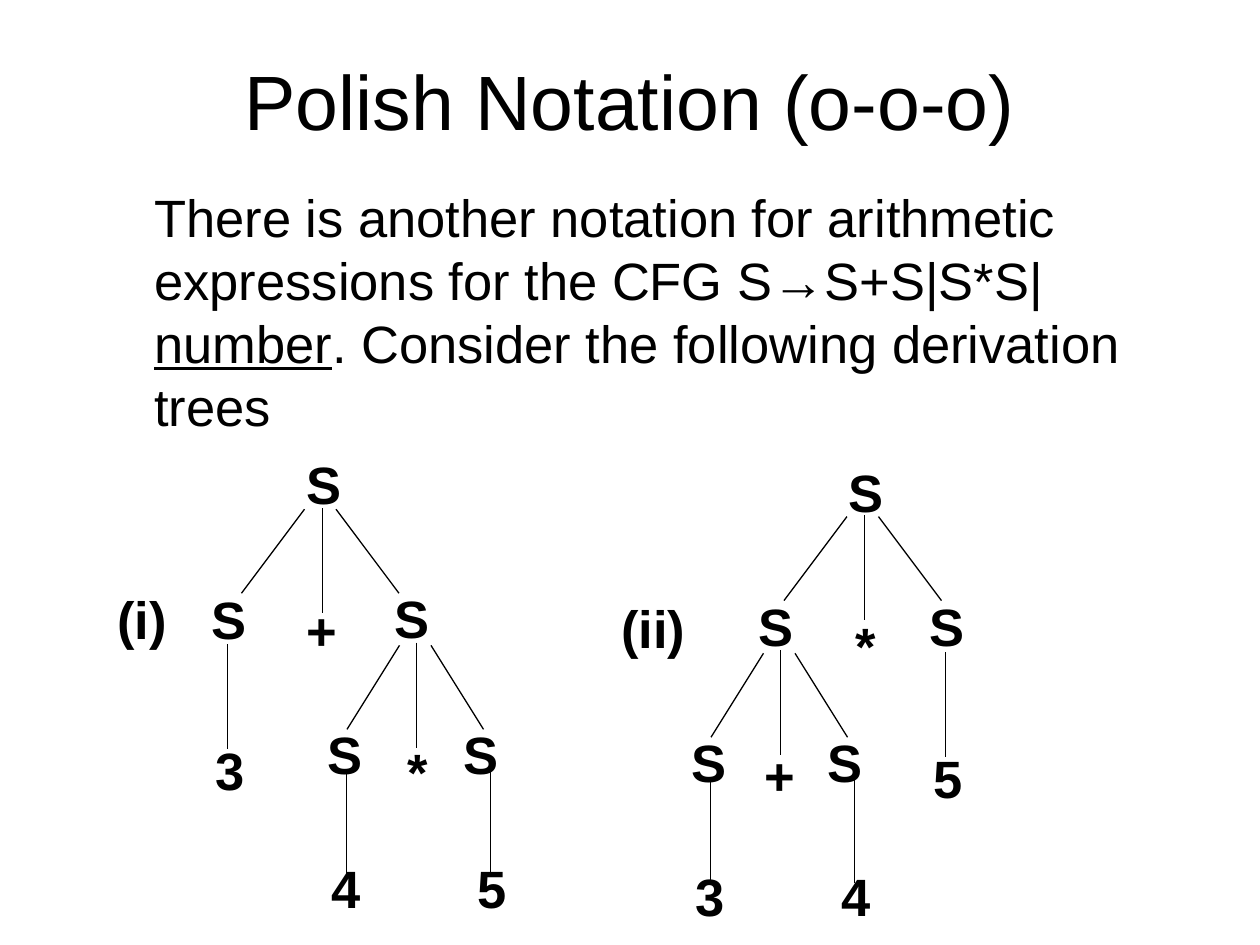
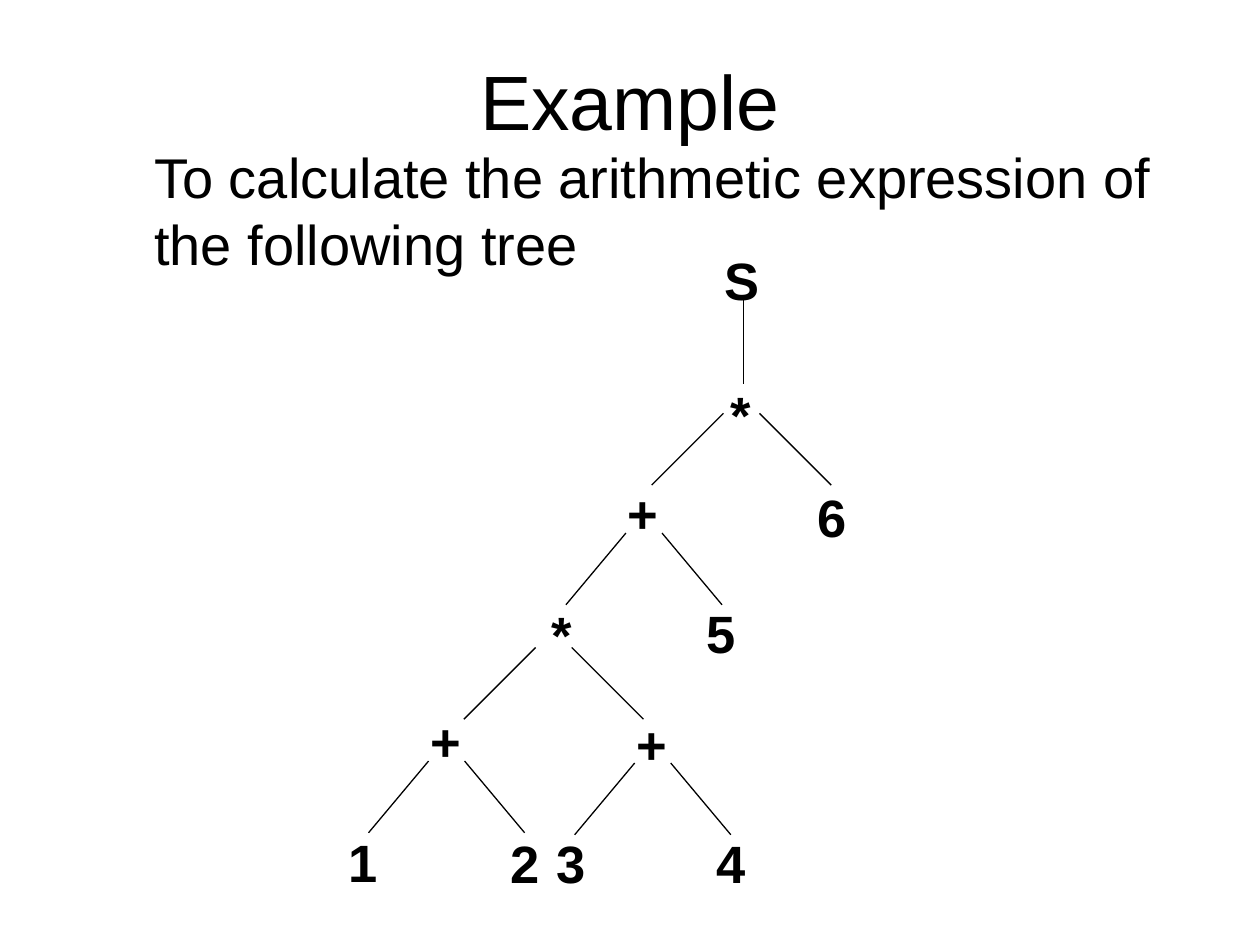
"""Two slides on Polish notation with derivation trees."""
from typing import NamedTuple

from lxml import etree
from pptx import Presentation
from pptx.dml.color import RGBColor
from pptx.enum.shapes import MSO_CONNECTOR
from pptx.enum.text import MSO_ANCHOR, PP_ALIGN
from pptx.oxml.ns import qn
from pptx.slide import Slide
from pptx.util import Pt

STRAIGHT = MSO_CONNECTOR.STRAIGHT
TOP, MIDDLE = MSO_ANCHOR.TOP, MSO_ANCHOR.MIDDLE
LEFT, CENTER = PP_ALIGN.LEFT, PP_ALIGN.CENTER
BLACK = RGBColor(0, 0, 0)
FONT = "Arial"
NODE_SIZE = 30
NODE_HEIGHT = 43.2
SYMBOL_WIDTH, NUMBER_WIDTH, WIDE_NODE = 66, 96, 75.6
STEM = 60
INDENT = 27


class Node(NamedTuple):
    """A tree label with the top left corner of its box."""
    label: str
    x: float
    y: float
    width: float = WIDE_NODE


class Fan(NamedTuple):
    """Two mirrored branches below the point x, y."""
    x: float
    y: float
    half_gap: float
    dx: float
    dy: float


def add_text(s: Slide, x: float, y: float, w: float, h: float, runs: list[str],
             size: float, bold: bool = False, align=LEFT, anchor=TOP,
             indent: float = 0, underlined: str = "") -> None:
    """Add a one-paragraph text box; the run equal to underlined is underlined."""
    tf = s.shapes.add_textbox(Pt(x), Pt(y), Pt(w), Pt(h)).text_frame
    tf.word_wrap = True
    tf.vertical_anchor = anchor
    tf.margin_left = Pt(7.2 + indent)
    p = tf.paragraphs[0]
    p.alignment = align
    p.font.name, p.font.size, p.font.bold = FONT, Pt(size), bold
    p.font.color.rgb = BLACK
    for text in runs:
        r = p.add_run()
        r.text = text
        if text == underlined:
            r.font.underline = True


def add_line(s: Slide, x1: float, y1: float, x2: float, y2: float) -> None:
    """Draw a thin branch without a shadow."""
    sp = s.shapes.add_connector(STRAIGHT, Pt(x1), Pt(y1), Pt(x2), Pt(y2))
    sp.line.color.rgb = BLACK
    sp.line.width = Pt(0.74)
    etree.SubElement(sp._element.spPr, qn("a:effectLst"))


def add_node(s: Slide, node: Node) -> None:
    """Write one bold tree label."""
    add_text(s, node.x, node.y, node.width, NODE_HEIGHT, [node.label], NODE_SIZE, bold=True)


def add_fan(s: Slide, fan: Fan) -> None:
    """Draw the left and right branch of a fan."""
    for side in (-1, 1):
        x = fan.x + side * fan.half_gap
        add_line(s, x, fan.y, x + side * fan.dx, fan.y + fan.dy)


def add_stem(s: Slide, x: float, y: float, length: float = STEM) -> None:
    """Draw a vertical branch."""
    add_line(s, x, y, x, y + length)


def add_symbol(s: Slide, label: str, x: float, y: float) -> None:
    """Write an S or an operator."""
    add_node(s, Node(label, x, y, SYMBOL_WIDTH))


def add_number(s: Slide, label: str, x: float, y: float) -> None:
    """Write a number or a tree tag."""
    add_node(s, Node(label, x, y, NUMBER_WIDTH))


def add_root(s: Slide, x: float, y: float) -> None:
    """Draw the root S with its three branches."""
    add_symbol(s, "S", x, y)
    add_fan(s, Fan(x + 15, y + 36, 9, 36, 48))
    add_stem(s, x + 16.2, y + 35.3)


def add_single(s: Slide, x: float, y: float, number: str) -> None:
    """Draw an S that derives one number."""
    add_symbol(s, "S", x, y)
    add_stem(s, x + 16.2, y + 36.4)
    add_number(s, number, x + 2.2, y + 86.4)


def add_operation(s: Slide, x: float, y: float, op: Node, left: str, right: str) -> None:
    """Draw an S that derives two numbers joined by an operator."""
    add_symbol(s, "S", x, y)
    add_fan(s, Fan(x + 19.1, y + 37.6, 9, 30, 48))
    add_stem(s, x + 20, y + 36)
    add_node(s, op)
    for number, s_dx, stem_dx, number_dx in ((left, -38.2, -20, -36), (right, 39.6, 61.9, 47.5)):
        add_symbol(s, "S", x + s_dx, y + 78)
        add_stem(s, x + stem_dx, y + 109)
        add_number(s, number, x + number_dx, y + 154.6)


def new_slide(prs, title: str) -> Slide:
    """Add a blank slide with the shared title style."""
    s = prs.slides.add_slide(prs.slide_layouts[6])
    add_text(s, 54, 12, 612, 90, [title], 44, align=CENTER, anchor=MIDDLE)
    return s


def add_body(s: Slide, y: float, runs: list[str], size: float, underlined: str = "") -> None:
    """Add the indented body text."""
    add_text(s, 54, y, 612, 324, runs, size, indent=INDENT, underlined=underlined)


def build_notation(prs) -> None:
    """Build the slide with the two derivation trees."""
    s = new_slide(prs, "Polish Notation (o-o-o)")
    add_body(s, 102, ["There is another notation for arithmetic expressions for the CFG S→S+S|S*S|",
                      "number", ". Consider the following derivation trees"], 30, "number")

    add_number(s, "(i)", 60, 332)
    add_root(s, 168, 255)
    add_symbol(s, "+", 168, 338.4)
    add_single(s, 113.8, 331.8, "3")
    add_operation(s, 218.2, 331.2, Node("*", 226, 419, SYMBOL_WIDTH), "4", "5")

    add_number(s, "(ii)", 348, 337)
    add_root(s, 478, 259.2)
    add_symbol(s, "*", 481.7, 347)
    add_single(s, 524.2, 336.2, "5")
    add_operation(s, 426.2, 335.7, Node("+", 429.8, 421.2, SYMBOL_WIDTH), "3", "4")


def build_example(prs) -> None:
    """Build the slide with the example tree."""
    s = new_slide(prs, "Example")
    add_body(s, 78, ["To calculate the arithmetic expression of the following tree"], 32)
    nodes = [
        Node("S", 406.8, 138.2),
        Node("*", 410.4, 214.6),
        Node("+", 351.4, 271.4), Node("6", 460, 273.6, 109.4),
        Node("*", 308.2, 340.6), Node("5", 396.7, 339.8),
        Node("+", 239, 401.8), Node("+", 356.4, 403.2),
        Node("1", 192.2, 470.9), Node("2", 284.4, 471.6),
        Node("3", 311, 471.6), Node("4", 402.5, 471.6),
    ]
    for node in nodes:
        add_node(s, node)
    add_stem(s, 424.8, 168.5, 51)
    wide, narrow = 41, 34.3
    for x, y, dx in ((423.7, 236.2, wide), (368, 304.6, narrow), (316.4, 370, wide),
                     (255.2, 434.9, narrow), (373, 436, narrow)):
        add_fan(s, Fan(x, y, 10.3, dx, 41))


def main() -> None:
    """Build and save the presentation."""
    prs = Presentation()
    prs.slide_width, prs.slide_height = Pt(720), Pt(540)
    build_notation(prs)
    build_example(prs)
    prs.save("out.pptx")


main()
